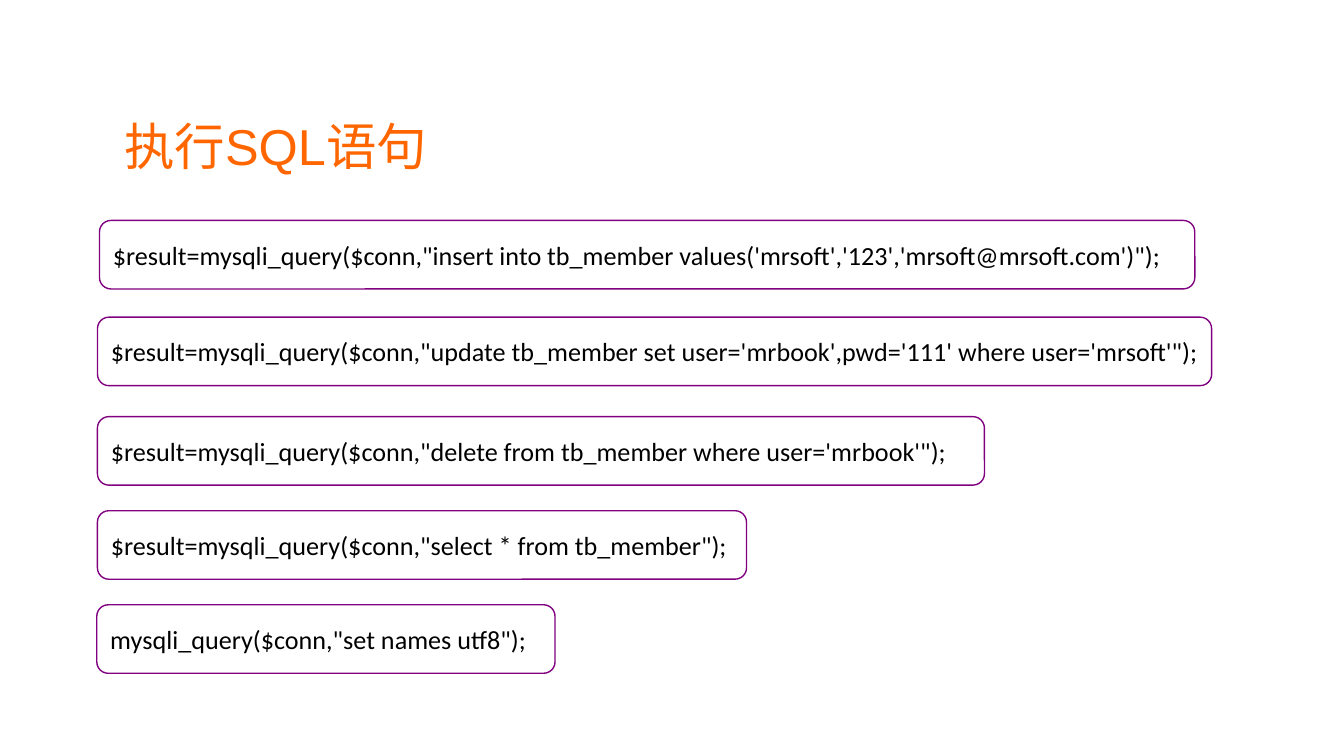
from dataclasses import dataclass

from pptx import Presentation
from pptx import util as u
from pptx.dml.color import RGBColor
from pptx.enum import shapes, text

TITLE = "执行SQL语句"
TITLE_BOX = (170, 140, 1200, 154)
STATEMENTS = [
    ("$result=mysqli_query($conn,\"insert into tb_member values('mrsoft','123','mrsoft@mrsoft.com')\");", 148, 328, 1630),
    ("$result=mysqli_query($conn,\"update tb_member set user='mrbook',pwd='111' where user='mrsoft'\");", 145, 472, 1658),
    ("$result=mysqli_query($conn,\"delete from tb_member where user='mrbook'\");", 145, 620, 1320),
    ("$result=mysqli_query($conn,\"select * from tb_member\");", 145, 760, 966),
    ("mysqli_query($conn,\"set names utf8\");", 144, 900, 682),
]
STATEMENT_HEIGHT = 102
SLIDE_SIZE = (2000, 1125)
INSET_X, INSET_Y = 15, 8
PX = 4572


@dataclass(frozen=True)
class Theme:
    title_color: RGBColor = RGBColor(0xFF, 0x66, 0x00)
    code_color: RGBColor = RGBColor(0, 0, 0)
    border_color: RGBColor = RGBColor(0x80, 0x00, 0x80)
    title_font: str = "Arial"
    code_font: str = "Calibri"
    title_size: float = 27
    code_size: float = 14
    border_width: float = 0.75
    corner: float = 0.167


THEME = Theme()


def px(*lengths):
    return [length * PX for length in lengths]


def write(holder, content, *, font, size, color, right=INSET_X):
    frame = holder.text_frame
    frame.word_wrap = True
    frame.auto_size = text.MSO_AUTO_SIZE.NONE
    frame.vertical_anchor = text.MSO_ANCHOR.MIDDLE
    frame.margin_left, frame.margin_right = px(INSET_X, right)
    frame.margin_top = frame.margin_bottom = INSET_Y * PX
    paragraph = frame.paragraphs[0]
    paragraph.alignment = text.PP_ALIGN.LEFT
    run = paragraph.add_run()
    run.text = content
    run.font.name = font
    run.font.size = u.Pt(size)
    run.font.color.rgb = color


def add_title(slide):
    heading = slide.shapes.title
    heading.left, heading.top, heading.width, heading.height = px(*TITLE_BOX)
    write(heading, TITLE, font=THEME.title_font, size=THEME.title_size,
          color=THEME.title_color)


def add_statement(slide, code, left, top, width):
    statement = slide.shapes.add_shape(
        shapes.MSO_SHAPE.ROUNDED_RECTANGLE,
        *px(left, top, width, STATEMENT_HEIGHT))
    statement.adjustments[0] = THEME.corner
    statement.shadow.inherit = False
    statement.fill.background()
    statement.line.color.rgb = THEME.border_color
    statement.line.width = u.Pt(THEME.border_width)
    write(statement, code, font=THEME.code_font, size=THEME.code_size,
          color=THEME.code_color, right=0)


def main():
    deck = Presentation()
    deck.slide_width, deck.slide_height = px(*SLIDE_SIZE)
    slide = deck.slides.add_slide(deck.slide_layouts.get_by_name("Title Only"))
    add_title(slide)
    for statement in STATEMENTS:
        add_statement(slide, *statement)
    deck.save("out.pptx")


if __name__ == "__main__":
    main()
